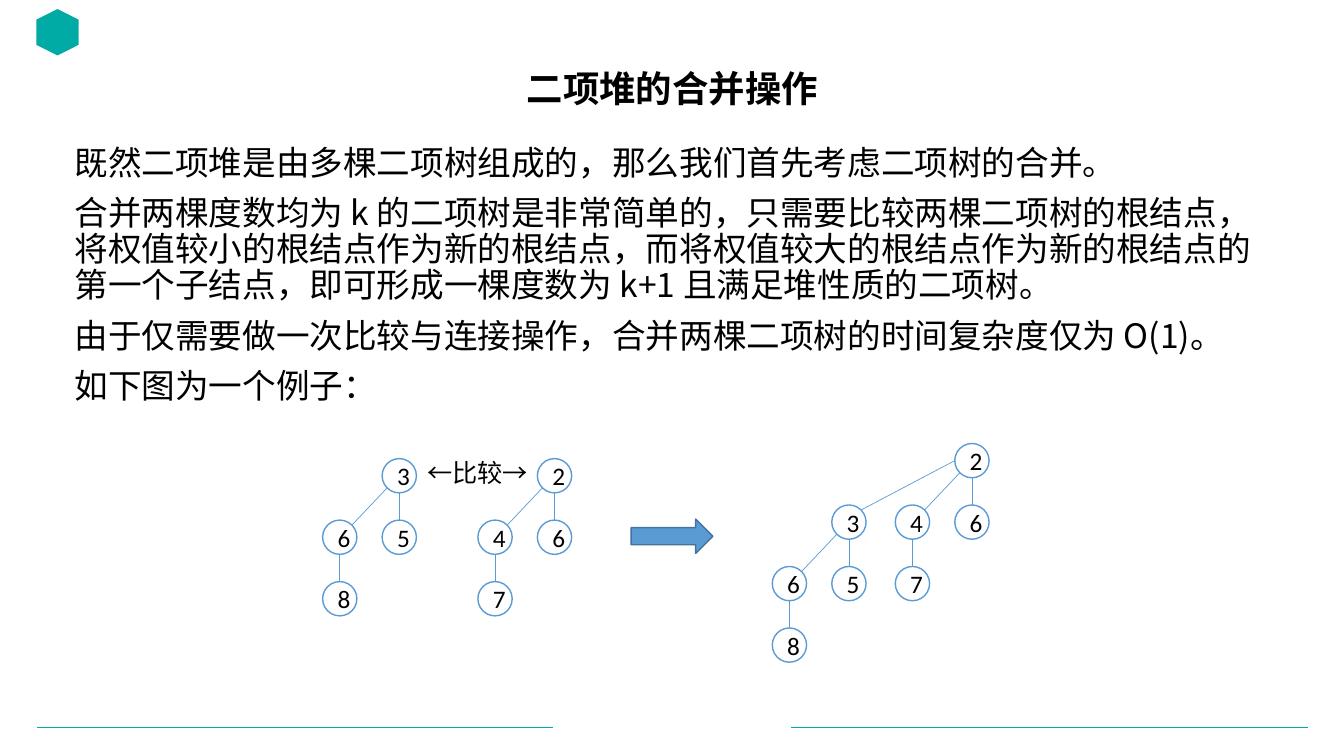
from lxml import etree
from pptx import Presentation
from pptx.dml.color import RGBColor
from pptx.enum import shapes as sh, text as tx
from pptx.oxml import ns
from pptx.util import Inches, Pt

TEAL = RGBColor(0x00, 0xAB, 0xA5)
BLUE = RGBColor(0x5B, 0x9B, 0xD5)
NAVY = RGBColor(0x43, 0x73, 0x9E)
WHITE = RGBColor(0xFF, 0xFF, 0xFF)
BLACK = RGBColor(0x00, 0x00, 0x00)
HAN = "Noto Sans CJK SC"
LATIN = "Calibri"
SIZE = 0.34
STEP = 0.61
SHIFT = 0.59
NEAR = 0.05
BODY = [
    "既然二项堆是由多棵二项树组成的，那么我们首先考虑二项树的合并。",
    "合并两棵度数均为 k 的二项树是非常简单的，只需要比较两棵二项树的根结点，"
    "将权值较小的根结点作为新的根结点，而将权值较大的根结点作为新的根结点的"
    "第一个子结点，即可形成一棵度数为 k+1 且满足堆性质的二项树。",
    "由于仅需要做一次比较与连接操作，合并两棵二项树的时间复杂度仅为 O(1)。",
    "如下图为一个例子：",
]


def style(para, size, font, bold=False):
    for run in para.runs:
        run.font.size = Pt(size)
        run.font.bold = bold
        run.font.color.rgb = BLACK
        run.font.name = font
        east = etree.SubElement(run.font._element, ns.qn("a:ea"))
        east.set("typeface", HAN)


def add_text(slide, box, lines, size, font, align, bold=False,
             anchor=tx.MSO_ANCHOR.TOP, spacing=None, before=0):
    frame = slide.shapes.add_textbox(*map(Inches, box)).text_frame
    frame.word_wrap = True
    frame.vertical_anchor = anchor
    frame.text = "\n".join(lines)
    for para in frame.paragraphs:
        para.alignment = align
        para.line_spacing = spacing
        para.space_before = Pt(before)
        style(para, size, font, bold)


def add_shape(slide, kind, box, fill, line=None):
    shape = slide.shapes.add_shape(kind, *map(Inches, box))
    shape.shadow.inherit = False
    shape.fill.solid()
    shape.fill.fore_color.rgb = fill
    if line is None:
        shape.line.fill.background()
    else:
        shape.line.color.rgb = line
        shape.line.width = Pt(1)
    return shape


def add_line(slide, start, end, color):
    line = slide.shapes.add_connector(
        sh.MSO_CONNECTOR.STRAIGHT, *map(Inches, (*start, *end)))
    line.line.color.rgb = color
    line.line.width = Pt(0.5)
    etree.SubElement(line._element.spPr, ns.qn("a:effectLst"))


def add_node(slide, x, y, value):
    node = add_shape(slide, sh.MSO_SHAPE.OVAL, (x, y, SIZE, SIZE), WHITE, BLUE)
    frame = node.text_frame
    frame.text = str(value)
    frame.vertical_anchor = tx.MSO_ANCHOR.MIDDLE
    frame.paragraphs[0].alignment = tx.PP_ALIGN.CENTER
    style(frame.paragraphs[0], 18, LATIN)


def add_edge(slide, x, y, shift):
    low = y + STEP
    if shift == 0:
        mid = x + SIZE / 2
        start, end = (mid, y + SIZE), (mid, low)
    else:
        start = (x + NEAR, y + SIZE - NEAR)
        if shift < -1:
            start = (x, y + SIZE / 2)
        end = (x + shift + SIZE - NEAR, low + NEAR)
    add_line(slide, start, end, BLUE)


def add_tree(slide, x, y, tree):
    value, kids = tree
    add_node(slide, x, y, value)
    for shift, kid in kids:
        add_tree(slide, x + shift, y + STEP, kid)
        add_edge(slide, x, y, shift)


def pair(root, right, left, leaf):
    return root, [(0, (right, [])), (-SHIFT, (left, [(0, (leaf, []))]))]


def main():
    deck = Presentation()
    deck.slide_width, deck.slide_height = Inches(13.33), Inches(7.5)
    slide = deck.slides.add_slide(deck.slide_layouts[6])

    for left, right in ((0.37, 5.48), (7.85, 12.97)):
        add_line(slide, (left, 7.22), (right, 7.22), TEAL)
    mark = add_shape(slide, sh.MSO_SHAPE.HEXAGON, (0.34, 0.11, 0.46, 0.42), TEAL)
    mark.rotation = 90

    add_text(slide, (0.92, 0.62, 11.5, 0.57), ["二项堆的合并操作"], 26, HAN,
             tx.PP_ALIGN.CENTER, True, tx.MSO_ANCHOR.MIDDLE, 0.9)
    add_text(slide, (0.64, 1.4, 12.09, 5.53), BODY, 24, HAN,
             tx.PP_ALIGN.LEFT, spacing=0.9, before=10)

    large = pair(3, 5, 6, 8)
    small = pair(2, 6, 4, 7)
    root, kids = small
    add_tree(slide, 3.79, 4.55, large)
    add_tree(slide, 5.33, 4.55, small)
    add_text(slide, (3.99, 4.49, 1.49, 0.4), ["←比较→"], 18, LATIN,
             tx.PP_ALIGN.CENTER)
    add_shape(slide, sh.MSO_SHAPE.RIGHT_ARROW, (6.26, 5.15, 0.81, 0.34), BLUE, NAVY)
    add_tree(slide, 9.47, 4.4, (root, kids + [(-1.22, large)]))

    deck.save("out.pptx")


if __name__ == "__main__":
    main()
